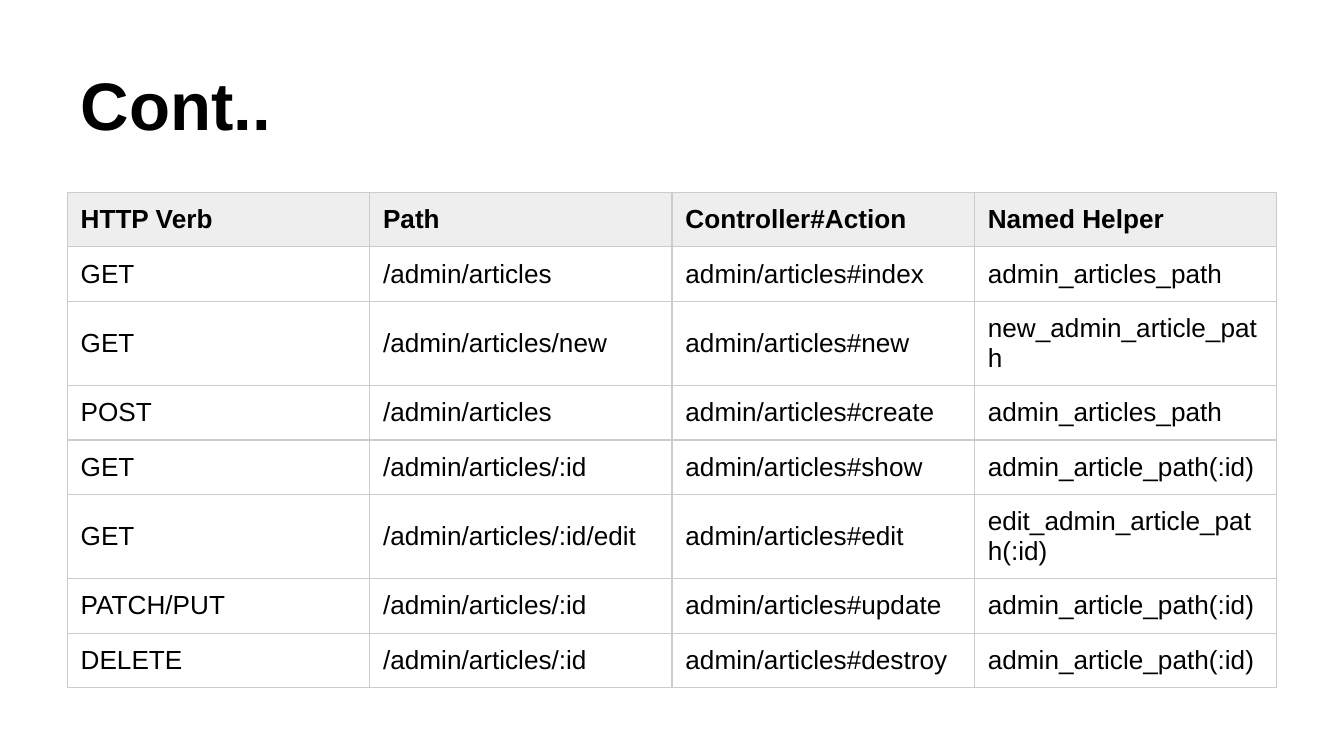
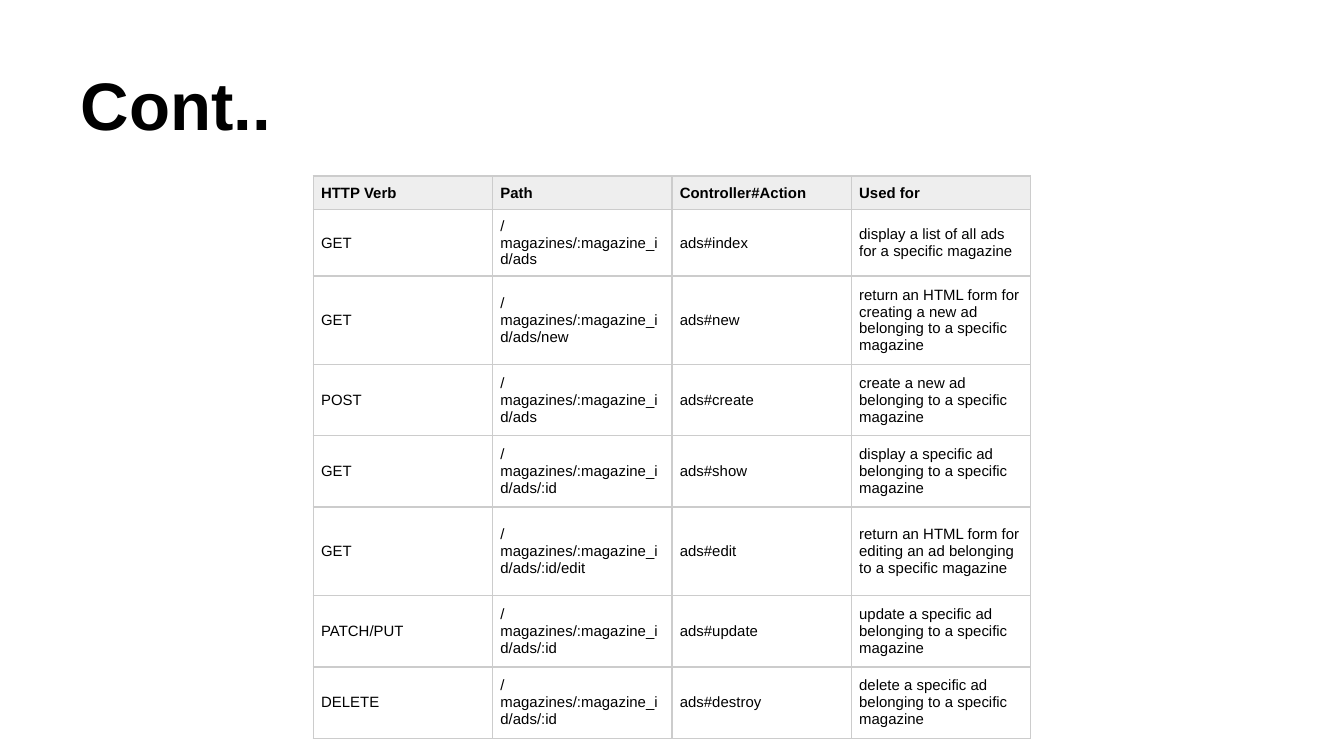
from lxml import etree
from pptx import Presentation
from pptx.dml.color import RGBColor
from pptx.enum.text import MSO_ANCHOR, PP_ALIGN
from pptx.oxml.ns import qn
from pptx.util import Inches, Pt

LEFT = PP_ALIGN.LEFT
MIDDLE, BOTTOM = MSO_ANCHOR.MIDDLE, MSO_ANCHOR.BOTTOM
FONT = "Arial"
COLORS = {"text": "000000", "header": "EEEEEE", "cell": "FFFFFF", "border": "CCCCCC"}
BORDER_WIDTH = Pt(0.75)
TITLE_BOX = (0.5, 0.23, 9, 0.94)

# Content: admin routes
ADMIN_ROUTES = [
    ("HTTP Verb", "Path", "Controller#Action", "Named Helper"),
    ("GET", "/admin/articles", "admin/articles#index", "admin_articles_path"),
    ("GET", "/admin/articles/new", "admin/articles#new", "new_admin_article_path"),
    ("POST", "/admin/articles", "admin/articles#create", "admin_articles_path"),
    ("GET", "/admin/articles/:id", "admin/articles#show", "admin_article_path(:id)"),
    ("GET", "/admin/articles/:id/edit", "admin/articles#edit", "edit_admin_article_path(:id)"),
    ("PATCH/PUT", "/admin/articles/:id", "admin/articles#update", "admin_article_path(:id)"),
    ("DELETE", "/admin/articles/:id", "admin/articles#destroy", "admin_article_path(:id)"),
]

# Content: nested magazine routes
AD_ROUTES = [
    ("HTTP Verb", "Path", "Controller#Action", "Used for"),
    ("GET", "/magazines/:magazine_id/ads", "ads#index",
     "display a list of all ads for a specific magazine"),
    ("GET", "/magazines/:magazine_id/ads/new", "ads#new",
     "return an HTML form for creating a new ad belonging to a specific magazine"),
    ("POST", "/magazines/:magazine_id/ads", "ads#create",
     "create a new ad belonging to a specific magazine"),
    ("GET", "/magazines/:magazine_id/ads/:id", "ads#show",
     "display a specific ad belonging to a specific magazine"),
    ("GET", "/magazines/:magazine_id/ads/:id/edit", "ads#edit",
     "return an HTML form for editing an ad belonging to a specific magazine"),
    ("PATCH/PUT", "/magazines/:magazine_id/ads/:id", "ads#update",
     "update a specific ad belonging to a specific magazine"),
    ("DELETE", "/magazines/:magazine_id/ads/:id", "ads#destroy",
     "delete a specific ad belonging to a specific magazine"),
]

# Row heights of 0 let each row grow to fit its text; margins are in points
SLIDES = [
    {"title": "Cont..", "rows": ADMIN_ROUTES, "box": (0.5, 1.43, 9, 3.83),
     "heights": [0] * len(ADMIN_ROUTES),
     "size": 14, "margins": (7.2, 6.75), "fill": None},
    {"title": "Cont..", "rows": AD_ROUTES, "box": (2.33, 1.31, 5.34, 4.07),
     "heights": [0.25, 0.39, 0.66, 0.53, 0.53, 0.66, 0.53, 0.53],
     "size": 8, "margins": (4.25, 4.25), "fill": COLORS["cell"]},
]


def set_margins(target, horizontal, vertical):
    target.margin_left = target.margin_right = Pt(horizontal)
    target.margin_top = target.margin_bottom = Pt(vertical)


def write(tf, text, size, bold):
    p = tf.paragraphs[0]
    p.alignment = LEFT
    r = p.add_run()
    r.text = text
    for name, value in {"name": FONT, "size": Pt(size), "bold": bold}.items():
        setattr(r.font, name, value)
    r.font.color.rgb = RGBColor.from_string(COLORS["text"])


def add_borders(cell):
    tcPr = cell._tc.get_or_add_tcPr()
    for side in ("a:lnL", "a:lnR", "a:lnT", "a:lnB"):
        ln = etree.SubElement(tcPr, qn(side), w=str(BORDER_WIDTH))
        fill = etree.SubElement(ln, qn("a:solidFill"))
        etree.SubElement(fill, qn("a:srgbClr"), val=COLORS["border"])


def add_title(s, text):
    sp = s.shapes.title
    sp.left, sp.top, sp.width, sp.height = map(Inches, TITLE_BOX)
    tf = sp.text_frame
    tf.word_wrap = True
    tf.vertical_anchor = BOTTOM
    set_margins(tf, 7.2, 7.2)
    write(tf, text, 36, True)


def add_route_table(s, spec):
    rows = spec["rows"]
    columns = len(rows[0])
    # Columns share the table width equally
    table = s.shapes.add_table(len(rows), columns, *map(Inches, spec["box"])).table
    table.first_row = table.horz_banding = False
    for i, (values, height) in enumerate(zip(rows, spec["heights"])):
        table.rows[i].height = Inches(height)
        fill = COLORS["header"] if i == 0 else spec["fill"]
        for j, value in enumerate(values):
            cell = table.cell(i, j)
            cell.vertical_anchor = MIDDLE
            set_margins(cell, *spec["margins"])
            write(cell.text_frame, value, spec["size"], i == 0)
            add_borders(cell)
            if fill:
                cell.fill.solid()
                cell.fill.fore_color.rgb = RGBColor.from_string(fill)
            else:
                cell.fill.background()


def main():
    prs = Presentation()
    # Widescreen, 16:9
    prs.slide_width, prs.slide_height = Inches(10), Inches(10 * 9 / 16)
    for spec in SLIDES:
        s = prs.slides.add_slide(prs.slide_layouts[5])
        add_title(s, spec["title"])
        add_route_table(s, spec)
    prs.save("out.pptx")


if __name__ == "__main__":
    main()
